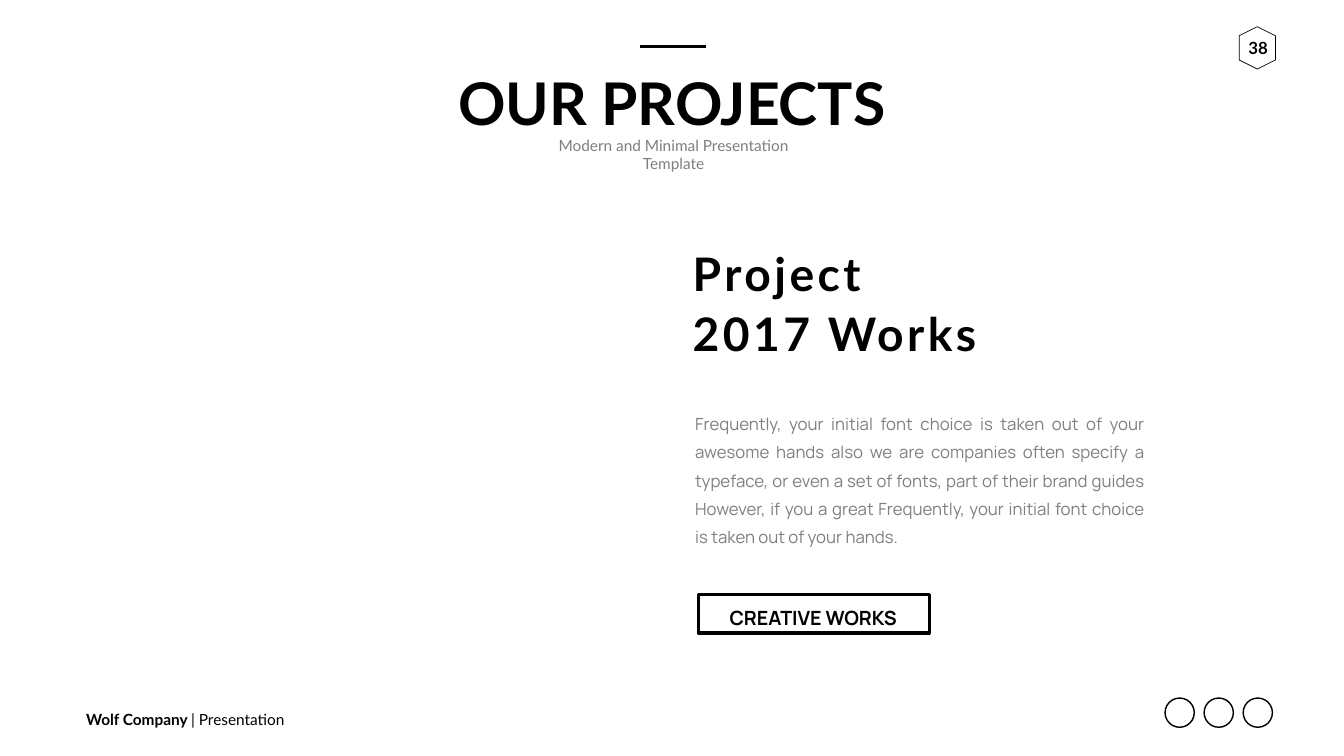
from collections import namedtuple

from lxml import etree
from pptx import Presentation
from pptx.dml.color import RGBColor
from pptx.enum.shapes import MSO_CONNECTOR as CONNECTOR, MSO_SHAPE as SHAPE
from pptx.enum.text import MSO_ANCHOR as ANCHOR, MSO_AUTO_SIZE as AUTO_SIZE, PP_ALIGN as ALIGN
from pptx.oxml.ns import qn
from pptx.util import Inches, Pt

BLACK = RGBColor(0x00, 0x00, 0x00)
GRAY = RGBColor(0x7F, 0x7F, 0x7F)
HEADING_FONT = "Lato"
BODY_FONT = "Manrope"

Box = namedtuple("Box", "left top width height")


def place(box, left, top, width, height):
    """Turn an offset in inches inside a box into slide lengths."""
    return Inches(box.left + left), Inches(box.top + top), Inches(width), Inches(height)


def add_text_frame(slide, area, anchor=ANCHOR.TOP, wrap=False, insets=(0.1, 0.05)):
    frame = slide.shapes.add_textbox(*area).text_frame
    frame.word_wrap = wrap
    frame.auto_size = AUTO_SIZE.SHAPE_TO_FIT_TEXT
    frame.vertical_anchor = anchor
    frame.margin_left = frame.margin_right = Inches(insets[0])
    frame.margin_top = frame.margin_bottom = Inches(insets[1])
    return frame


def add_run(paragraph, text, size, font=HEADING_FONT, color=BLACK, bold=False):
    run = paragraph.add_run()
    run.text = text
    run.font.name = font
    run.font.size = Pt(size)
    run.font.bold = bold
    run.font.color.rgb = color
    return run


def add_outline(slide, kind, area, line_width):
    outline = slide.shapes.add_shape(kind, *area)
    outline.shadow.inherit = False
    outline.fill.background()
    outline.line.color.rgb = BLACK
    outline.line.width = Pt(line_width)
    return outline


def add_header(slide, box):
    left, top, width, _ = place(box, 3.75, 0, 1.3, 0)
    rule = slide.shapes.add_connector(CONNECTOR.STRAIGHT, left, top, left + width, top)
    rule.line.color.rgb = BLACK
    rule.line.width = Pt(4.5)
    etree.SubElement(rule._element.spPr, qn("a:effectLst"))

    title = add_text_frame(slide, place(box, 0, 0.36, box.width, 1.51)).paragraphs[0]
    title.alignment = ALIGN.CENTER
    add_run(title, "OUR PROJECTS", 84, bold=True)

    subtitle_area = place(box, 1.43, 1.73, 5.96, 0.82)
    subtitle = add_text_frame(slide, subtitle_area, ANCHOR.MIDDLE, wrap=True).paragraphs[0]
    subtitle.alignment = ALIGN.CENTER
    add_run(subtitle, "Modern and Minimal Presentation Template", 22, color=GRAY)


def add_page_number(slide, box):
    hexagon = add_outline(slide, SHAPE.HEXAGON, place(box, 0, 0, 0.84, 0.72), 1)
    hexagon.rotation = 90
    number_area = place(box, -0.04, 0.06, 0.95, 0.61)
    number = add_text_frame(slide, number_area, insets=(0.2, 0.1)).paragraphs[0]
    number.alignment = ALIGN.CENTER
    add_run(number, "38", 24, bold=True)


def add_project(slide, box):
    heading_area = place(box, 0.19, 0, 5.8, 2.38)
    heading = add_text_frame(slide, heading_area, ANCHOR.MIDDLE, insets=(0, 0))
    for index, line in enumerate(("Project", "2017 Works")):
        paragraph = heading.add_paragraph() if index else heading.paragraphs[0]
        paragraph.line_spacing = Pt(85)
        run = add_run(paragraph, line, 66, bold=True)
        run.font._element.set("spc", "500")

    body_area = place(box, 0, 3.15, box.width, 3.05)
    body = add_text_frame(slide, body_area, wrap=True, insets=(0.24, 0.12)).paragraphs[0]
    body.alignment = ALIGN.JUSTIFY
    body.line_spacing = Pt(40.4)
    add_run(
        body,
        "Frequently, your initial font choice is taken out of your awesome hands "
        "also we are companies often specify a typeface, or even a set of fonts, "
        "part of their brand guides However, if you a great Frequently, your "
        "initial font choice is taken out of your hands.",
        24, BODY_FONT, GRAY,
    )

    add_outline(slide, SHAPE.RECTANGLE, place(box, 0.3, 7.02, 4.58, 0.76), 4.5)
    label_area = place(box, 0.74, 7.2, 3.68, 0.57)
    label = add_text_frame(slide, label_area, ANCHOR.MIDDLE).paragraphs[0]
    label.alignment = ALIGN.CENTER
    add_run(label, "CREATIVE WORKS", 28, BODY_FONT, bold=True)


def add_footer(slide, box):
    company_area = place(box, 0, 0.2, 4.17, 0.47)
    company = add_text_frame(slide, company_area, ANCHOR.MIDDLE).paragraphs[0]
    add_run(company, "Wolf Company ", 22, bold=True)
    add_run(company, "| Presentation", 22)

    ring_size, ring_pitch, ring_count = 0.58, 0.775, 3
    first_ring = box.width - ring_size - ring_pitch * (ring_count - 1)
    for index in range(ring_count):
        ring_area = place(box, first_ring + index * ring_pitch, 0.02, ring_size, ring_size)
        add_outline(slide, SHAPE.OVAL, ring_area, 2)


def main():
    deck = Presentation()
    deck.slide_width = Inches(26.66)
    deck.slide_height = Inches(15)
    slide = deck.slides.add_slide(deck.slide_layouts[6])

    add_footer(slide, Box(1.61, 13.83, 23.63, 0.67))
    add_page_number(slide, Box(24.52, 0.59, 0.84, 0.72))
    add_header(slide, Box(8.95, 0.92, 8.75, 2.5))
    add_project(slide, Box(13.55, 4.78, 9.39, 7.78))
    deck.save("out.pptx")


if __name__ == "__main__":
    main()
